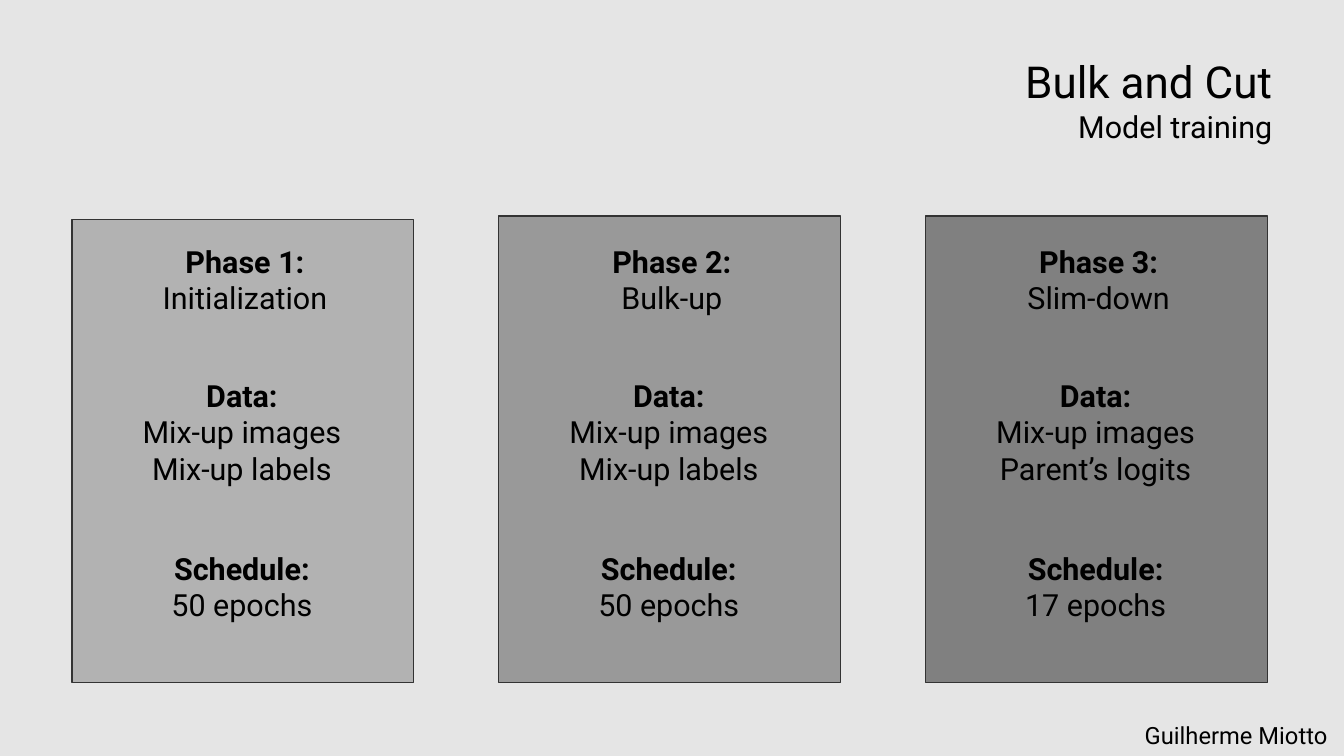
import pptx
import pptx.util
import pptx.dml.color
import pptx.enum.shapes
import pptx.enum.text

SCALE = 914400 / 122
ALIGN = pptx.enum.text.PP_ALIGN

LEFT, PITCH, WIDTH, BOTTOM = 72, 427, 342, 683
BOX = 230

# top, fill, phase, data, schedule
CARDS = [
    (220, "B2B2B2", ["Phase 1:", "Initialization"],
     ["Data:", "Mix-up images", "Mix-up labels"], ["Schedule:", "50 epochs"]),
    (216, "999999", ["Phase 2:", "Bulk-up"],
     ["Data:", "Mix-up images", "Mix-up labels"], ["Schedule:", "50 epochs"]),
    (216, "808080", ["Phase 3:", "Slim-down"],
     ["Data:", "Mix-up images", "Parent’s logits"], ["Schedule:", "17 epochs"]),
]


def px(count):
    return pptx.util.Emu(round(count * SCALE))


def color(code):
    return pptx.dml.color.RGBColor.from_string(code)


def add_text(shapes, lines, x, y, w, h, sizes=(18,), align=ALIGN.CENTER,
             head=False, wrap=True):
    """Add one paragraph per line; head makes the first bold, sizes repeat."""
    frame = shapes.add_textbox(px(x), px(y), px(w), px(h)).text_frame
    frame.word_wrap = wrap
    for i, line in enumerate(lines):
        para = frame.paragraphs[0] if i == 0 else frame.add_paragraph()
        para.alignment = align
        run = para.add_run()
        run.text = line
        font = run.font
        font.name = "Roboto"
        font.size = pptx.util.Pt(sizes[i % len(sizes)])
        font.bold = head and i == 0
        font.color.rgb = color("000000")


def add_panel(shapes, x, y, w, h, fill):
    panel = shapes.add_shape(pptx.enum.shapes.MSO_SHAPE.RECTANGLE,
                             px(x), px(y), px(w), px(h))
    panel.shadow.inherit = False
    panel.fill.solid()
    panel.fill.fore_color.rgb = color(fill)
    panel.line.color.rgb = color("333333")
    panel.line.width = 0


def add_card(shapes, x, top, fill, phase, data, plan):
    mid = x + (WIDTH - BOX) // 2
    group = shapes.add_group_shape().shapes
    add_panel(group, x, top, WIDTH, BOTTOM - top, fill)
    add_text(group, phase, mid + 2, 237, BOX, 95, head=True)
    add_text(shapes, data, mid - 1, 371, BOX, 178, head=True)
    add_text(shapes, plan, mid - 1, 544, BOX, 95, head=True)


def main():
    deck = pptx.Presentation()
    deck.slide_width = pptx.util.Inches(11.02)
    deck.slide_height = pptx.util.Inches(6.2)
    slide = deck.slides.add_slide(deck.slide_layouts[6])
    back = slide.background.fill
    back.solid()
    back.fore_color.rgb = color("E5E5E5")
    shapes = slide.shapes
    add_text(shapes, ["Bulk and Cut", "Model training"], 997, 49, 288, 174,
             sizes=(26, 18), align=ALIGN.RIGHT, wrap=False)
    for i, card in enumerate(CARDS):
        add_card(shapes, LEFT + i * PITCH, *card)
    add_text(shapes, ["Guilherme Miotto"], 1133, 715, 211, 41,
             sizes=(14,), align=ALIGN.LEFT, wrap=False)
    deck.save("out.pptx")


if __name__ == "__main__":
    main()
